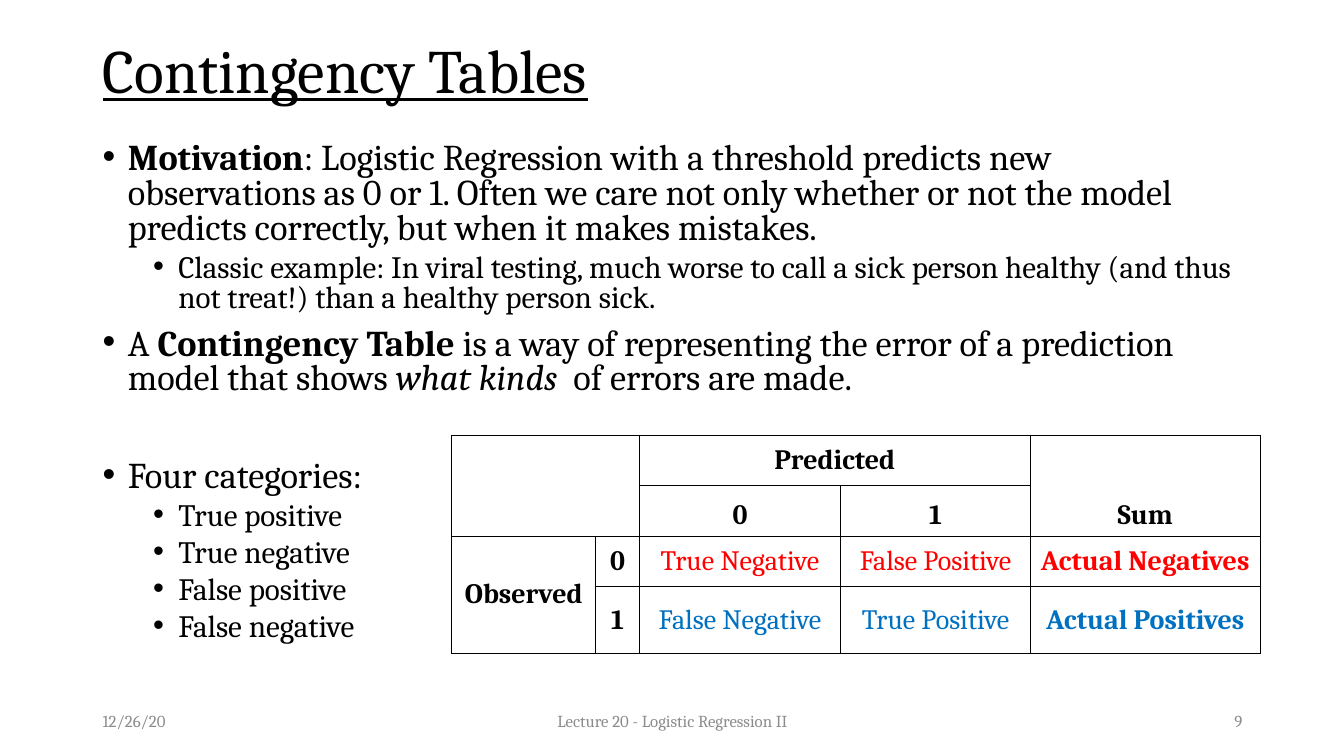
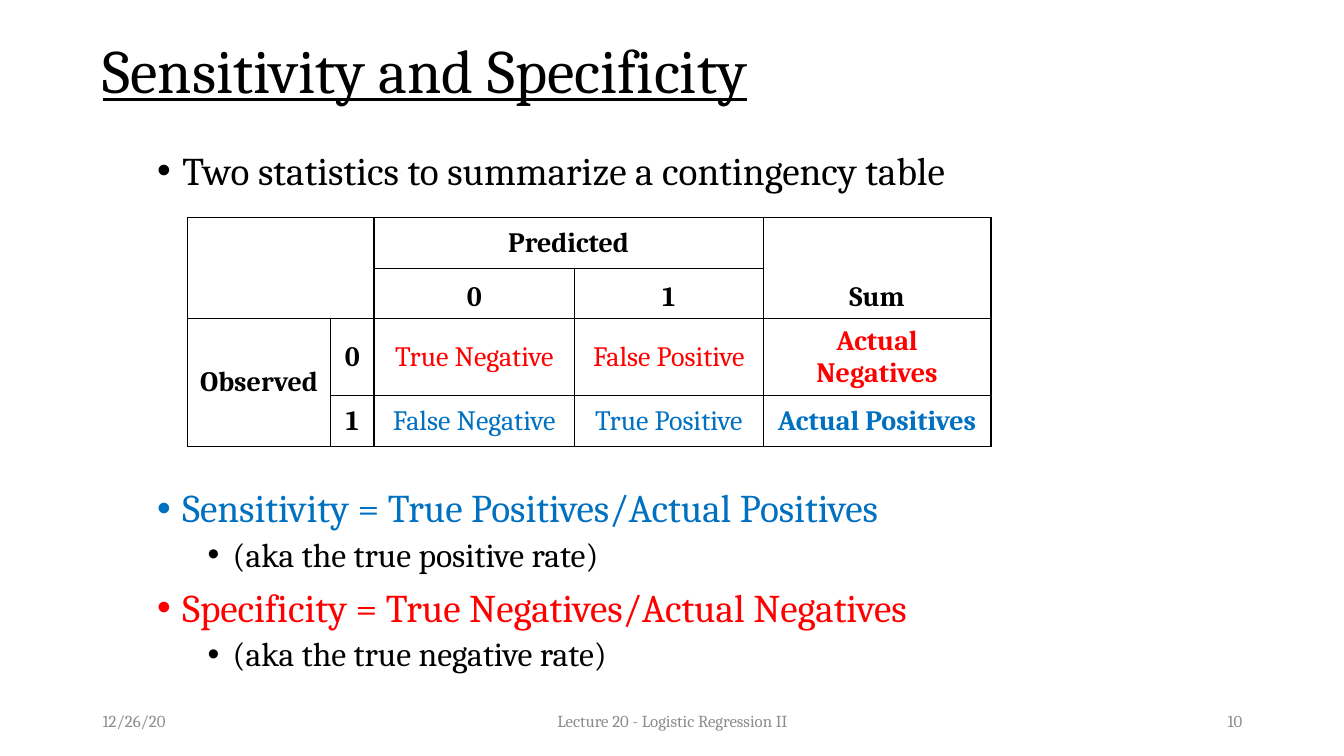
"""Build two lecture slides on contingency tables."""
from dataclasses import dataclass

from lxml import etree
from pptx import Presentation
from pptx import util as u
from pptx.dml.color import RGBColor
from pptx.enum import text as t
from pptx.oxml import ns

PX = 9144
FONT = "Cambria"
BLACK = RGBColor(0x00, 0x00, 0x00)
GREY = RGBColor(0x8C, 0x8C, 0x8C)
RED = RGBColor(0xFF, 0x00, 0x00)
BLUE = RGBColor(0x00, 0x70, 0xC0)
LEFT, MID, RIGHT = t.PP_ALIGN.LEFT, t.PP_ALIGN.CENTER, t.PP_ALIGN.RIGHT
CENTER, BOTTOM = t.MSO_ANCHOR.MIDDLE, t.MSO_ANCHOR.BOTTOM


@dataclass(frozen=True)
class Run:
    text: str
    bold: bool = False
    ital: bool = False
    color: RGBColor = BLACK


@dataclass(frozen=True)
class Item:
    runs: tuple[Run, ...]
    level: int = 0
    gap: float | None = None


@dataclass(frozen=True)
class Body:
    box: tuple[int, int, int, int]
    sizes: tuple[float, float]
    lead: float
    items: tuple[Item, ...]


@dataclass(frozen=True)
class Grid:
    left: int
    top: int
    cols: tuple[int, ...]
    rows: tuple[int, ...]


@dataclass(frozen=True)
class Cell:
    row: int
    col: int
    text: str
    bold: bool = True
    color: RGBColor = BLACK
    anchor: t.MSO_ANCHOR = CENTER


@dataclass(frozen=True)
class Page:
    title: str
    num: int
    body: Body
    grid: Grid


@dataclass(frozen=True)
class Foot:
    left: int
    width: int
    align: t.PP_ALIGN
    text: str


SPANS = ((0, 0, 1, 1), (0, 2, 0, 3), (0, 4, 1, 4), (2, 0, 3, 0))
CELLS = (
    Cell(0, 2, "Predicted"),
    Cell(0, 4, "Sum", anchor=BOTTOM),
    Cell(1, 2, "0", anchor=BOTTOM),
    Cell(1, 3, "1", anchor=BOTTOM),
    Cell(2, 0, "Observed"),
    Cell(2, 1, "0"),
    Cell(2, 2, "True Negative", False, RED),
    Cell(2, 3, "False Positive", False, RED),
    Cell(2, 4, "Actual Negatives", True, RED),
    Cell(3, 1, "1"),
    Cell(3, 2, "False Negative", False, BLUE),
    Cell(3, 3, "True Positive", False, BLUE),
    Cell(3, 4, "Actual Positives", True, BLUE),
)
KINDS = ("True positive", "True negative", "False positive", "False negative")

PAGES = (
    Page(
        "Contingency Tables", 9,
        Body((92, 137, 1150, 517), (25.9, 22.2), 0.8, (
            Item((
                Run("Motivation", bold=True),
                Run(": Logistic Regression with a threshold predicts new "
                    "observations as 0 or 1. Often we care not only whether or "
                    "not the model predicts correctly, but when it makes "
                    "mistakes."),
            ), gap=0),
            Item((Run("Classic example: In viral testing, much worse to call a "
                      "sick person healthy (and thus not treat!) than a "
                      "healthy person sick."),), 1),
            Item((
                Run("A "),
                Run("Contingency Table ", bold=True),
                Run("is a way of representing the error of a prediction model "
                    "that shows "),
                Run("what kinds ", ital=True),
                Run(" of errors are made."),
            )),
            Item((Run("Four categories:"),), gap=45),
            *(Item((Run(kind),), 1) for kind in KINDS),
        )),
        Grid(448, 432, (143, 43, 200, 188, 228), (50, 50, 50, 66)),
    ),
    Page(
        "Sensitivity and Specificity", 10,
        Body((146, 145, 1169, 531), (28, 24), 0.9, (
            Item((Run("Two statistics to summarize a contingency table"),), gap=0),
            Item((Run("Sensitivity = True Positives/Actual Positives",
                      color=BLUE),), gap=211),
            Item((Run("(aka the true positive rate)"),), 1),
            Item((Run("Specificity = True Negatives/Actual Negatives",
                      color=RED),)),
            Item((Run("(aka the true negative rate)"),), 1),
        )),
        Grid(186, 216, (142, 43, 199, 187, 226), (50, 50, 50, 50)),
    ),
)


def px(*vals: int) -> list[u.Emu]:
    """Turn pixel lengths into EMU."""
    return [u.Emu(val * PX) for val in vals]


def write(para, run: Run, size: float):
    """Add one styled run to a paragraph and return its font."""
    part = para.add_run()
    part.text = run.text
    font = part.font
    font.name, font.size = FONT, u.Pt(size)
    font.bold, font.italic = run.bold, run.ital
    font.color.rgb = run.color
    return font


def add_box(slide, left: int, top: int, width: int, height: int):
    """Add a wrapping text box and return its text frame."""
    frame = slide.shapes.add_textbox(*px(left, top, width, height)).text_frame
    frame.word_wrap = True
    return frame


def add_title(slide, text: str) -> None:
    """Place and fill the title placeholder."""
    head = slide.shapes.title
    head.left, head.top, head.width, head.height = px(92, 0, 1150, 145)
    frame = head.text_frame
    frame.vertical_anchor = CENTER
    frame.auto_size = t.MSO_AUTO_SIZE.NONE
    para = frame.paragraphs[0]
    para.alignment, para.line_spacing = LEFT, 0.9
    write(para, Run(text), 44).underline = True


def add_bullet(para, level: int) -> None:
    """Give a paragraph a hanging round bullet."""
    para.level = level
    props = para._p.get_or_add_pPr()
    props.set("marL", str((25 + 50 * level) * PX))
    props.set("indent", str(-25 * PX))
    etree.SubElement(props, ns.qn("a:buFont")).set("typeface", "Arial")
    etree.SubElement(props, ns.qn("a:buChar")).set("char", "•")


def add_body(slide, body: Body) -> None:
    """Draw the bulleted text."""
    frame = add_box(slide, *body.box)
    for pos, item in enumerate(body.items):
        para = frame.add_paragraph() if pos else frame.paragraphs[0]
        add_bullet(para, item.level)
        gap = (10, 5)[item.level] if item.gap is None else item.gap
        para.line_spacing, para.space_before = body.lead, u.Pt(gap)
        for run in item.runs:
            write(para, run, body.sizes[item.level])


def add_edge(cell) -> None:
    """Clear a cell's fill and rule its four sides in black."""
    cell.fill.background()
    props = cell._tc.get_or_add_tcPr()
    for pos, side in enumerate(("lnL", "lnR", "lnT", "lnB")):
        line = etree.Element(ns.qn(f"a:{side}"), w=str(u.Pt(1)))
        fill = etree.SubElement(line, ns.qn("a:solidFill"))
        etree.SubElement(fill, ns.qn("a:srgbClr")).set("val", str(BLACK))
        props.insert(pos, line)


def add_grid(slide, grid: Grid) -> None:
    """Draw the contingency table."""
    area = px(grid.left, grid.top, sum(grid.cols), sum(grid.rows))
    table = slide.shapes.add_table(len(grid.rows), len(grid.cols), *area).table
    table.first_row = table.horz_banding = False
    for col, width in zip(table.columns, px(*grid.cols)):
        col.width = width
    for row, height in zip(table.rows, px(*grid.rows)):
        row.height = height
    for cell in table.iter_cells():
        add_edge(cell)
    for top, left, low, right in SPANS:
        table.cell(top, left).merge(table.cell(low, right))
    for spot in CELLS:
        cell = table.cell(spot.row, spot.col)
        cell.vertical_anchor = spot.anchor
        para = cell.text_frame.paragraphs[0]
        para.alignment = MID
        write(para, Run(spot.text, spot.bold, color=spot.color), 20)


def add_foot(slide, num: int) -> None:
    """Draw the date, lecture name and page number."""
    for foot in (
        Foot(92, 300, LEFT, "12/26/20"),
        Foot(442, 450, MID, "Lecture 20 - Logistic Regression II"),
        Foot(942, 300, RIGHT, str(num)),
    ):
        frame = add_box(slide, foot.left, 695, foot.width, 40)
        frame.vertical_anchor = CENTER
        para = frame.paragraphs[0]
        para.alignment = foot.align
        write(para, Run(foot.text, color=GREY), 12)


def main() -> None:
    """Build and save the deck."""
    deck = Presentation()
    deck.slide_width, deck.slide_height = px(1333, 750)
    for page in PAGES:
        slide = deck.slides.add_slide(deck.slide_layouts[5])
        add_title(slide, page.title)
        add_body(slide, page.body)
        add_grid(slide, page.grid)
        add_foot(slide, page.num)
    deck.save("out.pptx")


if __name__ == "__main__":
    main()
